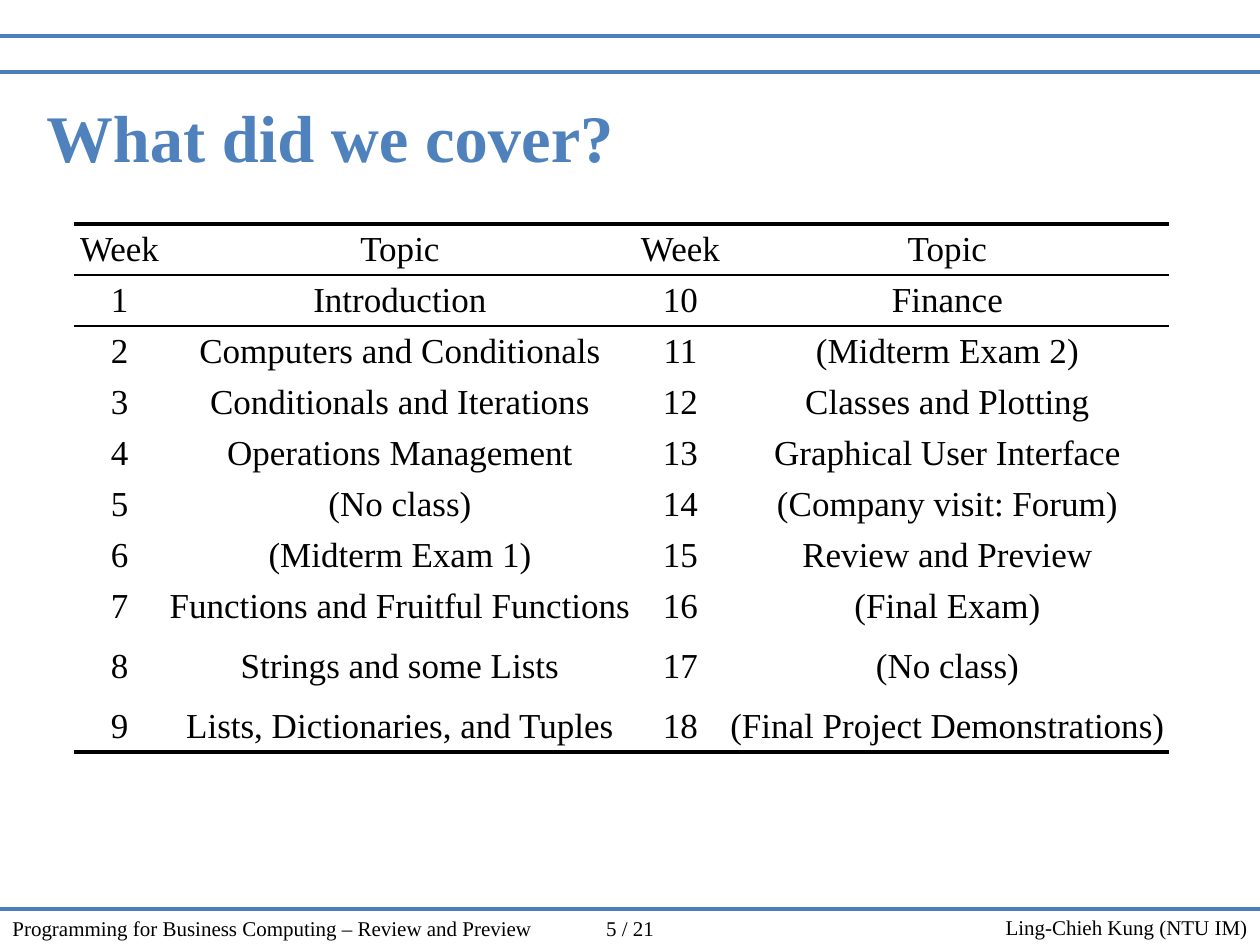
import pptx
import pptx.dml.color
import pptx.enum.shapes
import pptx.enum.text
import pptx.oxml
import pptx.oxml.ns
import pptx.util

ANCHOR = pptx.enum.text.MSO_ANCHOR
ALIGN = pptx.enum.text.PP_ALIGN
SCALE = 914400 / 126
FONT = "Times New Roman"
NO_STYLE = "{2D5ABB26-0587-4C30-8999-92F81FD0307C}"


def pixels(*lengths):
    return [pptx.util.Emu(round(length * SCALE)) for length in lengths]


def write(frame, text, size, color, align, bold=False):
    frame.text = text
    paragraph = frame.paragraphs[0]
    paragraph.alignment = align
    paragraph.font.name = FONT
    paragraph.font.size = pptx.util.Pt(size)
    paragraph.font.bold = bold
    paragraph.font.color.rgb = pptx.dml.color.RGBColor.from_string(color)


presentation = pptx.Presentation()
presentation.slide_width, presentation.slide_height = pixels(1260, 945)
slide = presentation.slides.add_slide(presentation.slide_layouts[6])

# Horizontal rules of the header and footer
for y in (36, 72, 909):
    rule = slide.shapes.add_connector(
        pptx.enum.shapes.MSO_CONNECTOR.STRAIGHT, *pixels(0, y, 1260, y))
    rule.line.width = pptx.util.Pt(2.25)
    rule.line.color.rgb = pptx.dml.color.RGBColor.from_string("4B7EBC")
    rule._element.spPr.append(pptx.oxml.parse_xml(
        f'<a:effectLst {pptx.oxml.ns.nsdecls("a")}/>'))

# Title and footer texts
texts = [
    ("What did we cover?", (34, 76, 1201, 120), 38, "4F81BD", ALIGN.LEFT, ANCHOR.MIDDLE),
    ("Programming for Business Computing – Review and Preview",
     (0, 909, 571, 36), 12, "000000", ALIGN.LEFT, ANCHOR.TOP),
    ("5 / 21", (571, 909, 118, 36), 12, "000000", ALIGN.CENTER, ANCHOR.TOP),
    ("Ling-Chieh Kung (NTU IM)", (689, 909, 571, 36), 12, "000000", ALIGN.RIGHT, ANCHOR.MIDDLE),
]
for text, box, size, color, align, anchor in texts:
    frame = slide.shapes.add_textbox(*pixels(*box)).text_frame
    frame.word_wrap = True
    frame.vertical_anchor = anchor
    write(frame, text, size, color, align, bold=size == 38)

# Weekly schedule: weeks 1 to 9 beside weeks 10 to 18
first_half = [
    "Introduction", "Computers and Conditionals", "Conditionals and Iterations",
    "Operations Management", "(No class)", "(Midterm Exam 1)",
    "Functions and Fruitful Functions", "Strings and some Lists",
    "Lists, Dictionaries, and Tuples",
]
second_half = [
    "Finance", "(Midterm Exam 2)", "Classes and Plotting",
    "Graphical User Interface", "(Company visit: Forum)", "Review and Preview",
    "(Final Exam)", "(No class)", "(Final Project Demonstrations)",
]
rows = [("Week", "Topic", "Week", "Topic")]
for week, (left, right) in enumerate(zip(first_half, second_half), start=1):
    rows.append((str(week), left, str(week + 9), right))

column_widths = (91, 470, 91, 443)
row_heights = [51] * 8 + [69, 51]
table = slide.shapes.add_table(
    len(rows), len(column_widths),
    *pixels(74, 224, sum(column_widths), sum(row_heights))).table
table.first_row = table.horz_banding = False
table._tbl.tblPr.find(pptx.oxml.ns.qn("a:tableStyleId")).text = NO_STYLE
for column, width in zip(table.columns, pixels(*column_widths)):
    column.width = width
for row, height in zip(table.rows, pixels(*row_heights)):
    row.height = height

# Border widths in points, by row; bottom comes first as each goes in front
borders = {0: {"lnB": 1.5, "lnT": 2.25}, 1: {"lnT": 1.5}, len(rows) - 1: {"lnB": 2.25}}
for row_index, values in enumerate(rows):
    for column_index, value in enumerate(values):
        cell = table.cell(row_index, column_index)
        cell.vertical_anchor = ANCHOR.MIDDLE
        cell.margin_left = cell.margin_right = cell.margin_top = pixels(1)[0]
        cell.margin_bottom = 0
        cell.fill.background()
        write(cell.text_frame, value, 20, "000000", ALIGN.CENTER)
        for side, width in borders.get(row_index, {}).items():
            cell._tc.get_or_add_tcPr().insert(0, pptx.oxml.parse_xml(
                f'<a:{side} {pptx.oxml.ns.nsdecls("a")} w="{pptx.util.Pt(width)}">'
                f'<a:solidFill><a:srgbClr val="000000"/></a:solidFill></a:{side}>'))

presentation.save("out.pptx")
